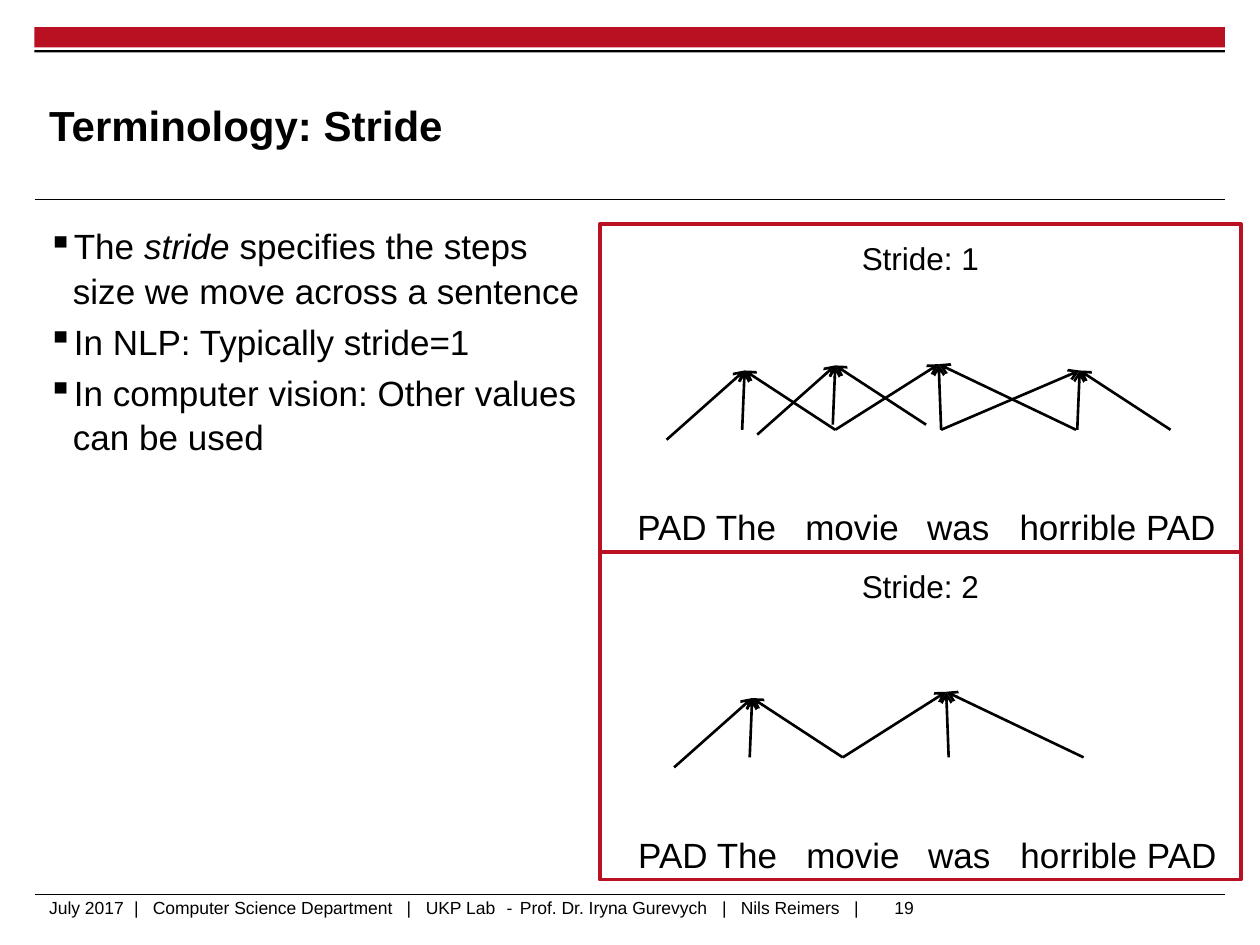
import pptx
import pptx.dml.color
import pptx.enum.shapes
import pptx.enum.text
import pptx.oxml
import pptx.oxml.ns
import pptx.util

Pt = pptx.util.Pt
ALIGN = pptx.enum.text.PP_ALIGN
ANCHOR = pptx.enum.text.MSO_ANCHOR
COLORS = {"accent": "B91022", "ink": "000000"}


class SlideStyle:
    """Hold the style and the current slide, and draw each kind of element."""

    font_name = "Arial"

    def __init__(self, slide):
        self.slide = slide

    def color(self, key):
        return pptx.dml.color.RGBColor.from_string(COLORS[key])

    def element(self, parent, tag, **attributes):
        child = pptx.oxml.parse_xml(f"<a:{tag} {pptx.oxml.ns.nsdecls('a')}/>")
        for key, value in attributes.items():
            child.set(key, str(value))
        parent.append(child)
        return child

    def rectangle(self, left, top, width, height, fill=None, line=None):
        kind = pptx.enum.shapes.MSO_SHAPE.RECTANGLE
        shape = self.slide.shapes.add_shape(kind, Pt(left), Pt(top), Pt(width), Pt(height))
        shape.shadow.inherit = False
        if fill:
            shape.fill.solid()
            shape.fill.fore_color.rgb = self.color(fill)
        else:
            shape.fill.background()
        if line:
            shape.line.color.rgb = self.color(line)
            shape.line.width = Pt(2.25)
        else:
            shape.line.fill.background()

    def line(self, start, end, width=1.5, arrow=True):
        kind = pptx.enum.shapes.MSO_CONNECTOR.STRAIGHT
        connector = self.slide.shapes.add_connector(kind, *map(Pt, (*start, *end)))
        connector.line.color.rgb = self.color("ink")
        connector.line.width = Pt(width)
        if arrow:
            self.element(connector.line._get_or_add_ln(), "tailEnd", type="arrow")
        self.element(connector._element.spPr, "effectLst")

    def text(self, left, top, width, height, paragraphs, size, bold=False, align=ALIGN.LEFT,
             anchor=ANCHOR.TOP, inset=True, bullet=None, tabs=(), spacing=None):
        box = self.slide.shapes.add_textbox(Pt(left), Pt(top), Pt(width), Pt(height))
        frame = box.text_frame
        frame.word_wrap = True
        frame.vertical_anchor = anchor
        if not inset:
            frame.margin_left = frame.margin_right = frame.margin_top = frame.margin_bottom = 0
        for index, parts in enumerate(paragraphs):
            paragraph = frame.add_paragraph() if index else frame.paragraphs[0]
            paragraph.alignment = align
            properties = paragraph._p.get_or_add_pPr()
            if bullet:
                properties.set("marL", str(Pt(14.4)))
                properties.set("indent", str(-Pt(14.4)))
                self.element(properties, "buChar", char=bullet)
            if tabs:
                tab_list = self.element(properties, "tabLst")
                for position in tabs:
                    self.element(tab_list, "tab", pos=Pt(position), algn="l")
            if spacing:
                paragraph.line_spacing = spacing
            if index:
                paragraph.space_before = Pt(4)
            for number, part in enumerate(parts):
                run = paragraph.add_run()
                run.text = part
                run.font.name = self.font_name
                run.font.size = Pt(size)
                run.font.bold = bold
                run.font.italic = number % 2 == 1
                run.font.color.rgb = self.color("ink")

    def stride_panel(self, top, stride, fans, shift):
        left, width, height = 342.7, 366.5, 187.2
        for tip, *sources in fans:
            for x, y in sources:
                self.line((left + shift + x, top + y), (left + shift + tip[0], top + tip[1]))
        sentence = "\t".join(["PAD The", "movie", "was", "horrible PAD"])
        self.text(left + 14.4 + shift / 8, top + 156.2, 352, 31, [[sentence]], 20,
                  tabs=(96, 165.6, 218.4), spacing=1.05)
        self.text(left, top + 5, width, 28.8, [[f"Stride: {stride}"]], 18, align=ALIGN.CENTER)
        self.rectangle(left, top, width, height, line="accent")


def main():
    presentation = pptx.Presentation()
    presentation.slide_width, presentation.slide_height = Pt(720), Pt(540)
    style = SlideStyle(presentation.slides.add_slide(presentation.slide_layouts[6]))

    style.rectangle(19.6, 15.6, 680.4, 11.5, fill="accent")
    style.rectangle(19.6, 28.6, 680.4, 1.4, fill="ink")
    for rule_y in (114.2, 511.2):
        style.line((19.8, rule_y), (700.2, rule_y), 0.6, arrow=False)

    style.text(28.1, 38.2, 541.4, 66.2, [["Terminology: Stride"]], 24, bold=True,
               anchor=ANCHOR.MIDDLE, inset=False)
    points = [["The ", "stride", " specifies the steps size we move across a sentence"],
              ["In NLP: Typically stride=1"],
              ["In computer vision: Other values can be used"]]
    style.text(20.2, 123.8, 326.2, 143.3, points, 20, bullet="▪", spacing=1.05)

    fans = [((82.8, 83.5), (81.4, 117.4), (134.6, 117.4), (38.2, 123.1)),
            ((134.6, 80.6), (133.2, 114.5), (186.5, 114.5), (90, 120.2)),
            ((193.7, 79.9), (195.1, 117.4), (272.2, 117.4), (134.6, 117.4)),
            ((274.3, 83.5), (272.9, 117.4), (326.2, 117.4), (195.1, 117.4))]
    for stride, top, shift in ((1, 128.2, 0), (2, 315.4, 4.3)):
        style.stride_panel(top, stride, fans[::stride], shift)

    footer = ["July 2017", "|", "Computer Science Department", "|", "UKP Lab", "-",
              "Prof. Dr. Iryna Gurevych", "|", "Nils Reimers", "|"]
    style.text(28.1, 512.6, 470, 18, [["\t".join(footer)]], 10, inset=False,
               tabs=(48.5, 59.3, 204.3, 215.2, 261.4, 269, 384.5, 395.2, 460))
    style.text(504, 509, 34.6, 19.4, [["19"]], 10)

    presentation.save("out.pptx")


if __name__ == "__main__":
    main()
